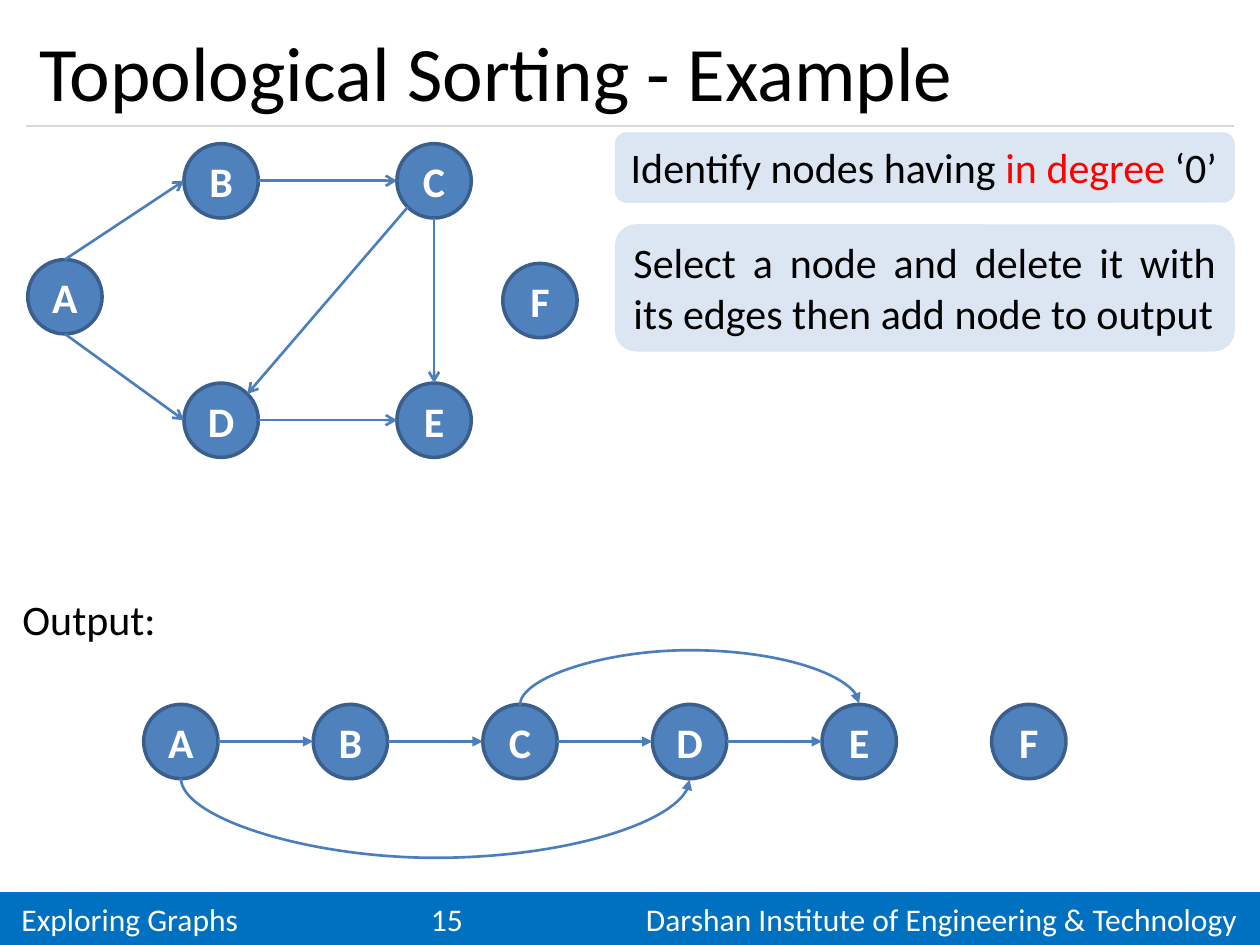
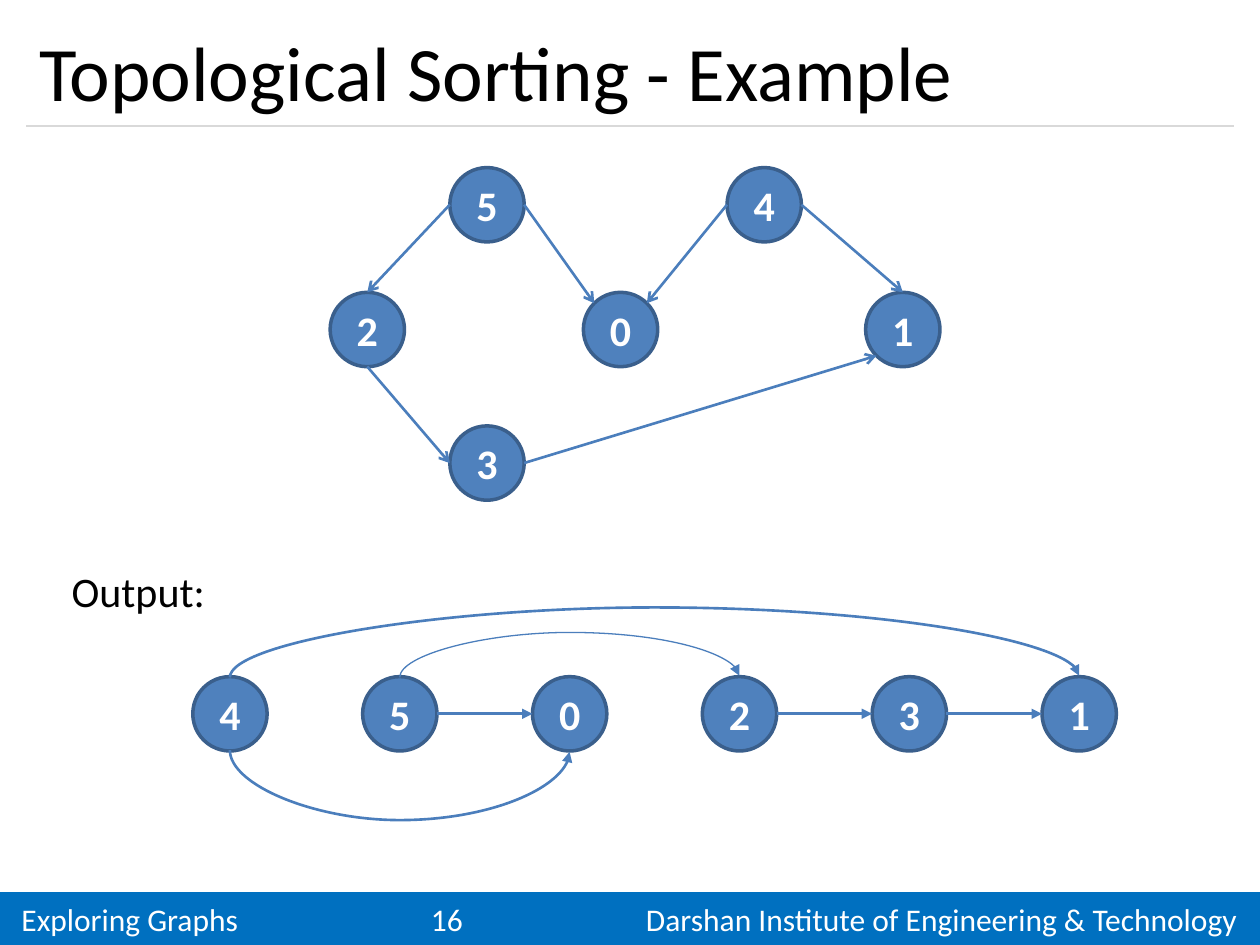
import math

from lxml import etree
from pptx import Presentation
from pptx import util as u
from pptx.dml.color import RGBColor
from pptx.enum import shapes, text
from pptx.oxml.ns import qn

# The page is a grid of 10 columns by 7.5 rows
COLUMN = ROW = u.Inches(1)
COLUMNS, ROWS = 10, 7.5
MARGIN = 0.21
NODE = 0.59

FONT = "Calibri"
BLACK, WHITE, RED = "000000", "FFFFFF", "FF0000"
BAND, RULE, CALLOUT = "0070C0", "D9D9D9", "DCE6F2"
NODE_FILL, NODE_LINE, EDGE = "4F81BD", "3A5F8C", "4B7EBC"

BODY = {"name": FONT, "size": u.Pt(24), "bold": False}
NODE_FONT = {**BODY, "bold": True}
TITLE_FONT = {**BODY, "size": u.Pt(44)}
FOOTER_FONT = {**BODY, "size": u.Pt(18)}

# Connection sites of an ellipse run counter-clockwise from the top
TOP, TOP_LEFT, LEFT, LOWER_LEFT, BOTTOM, LOWER_RIGHT, RIGHT, TOP_RIGHT = range(8)


def color(value):
    return RGBColor.from_string(value)


def cells(*lengths):
    return [round(length * COLUMN) for length in lengths]


def add_span(para, words, style, ink):
    span = para.add_run()
    span.text = words
    for key, value in style.items():
        setattr(span.font, key, value)
    span.font.color.rgb = color(ink)


def set_frame(frame, **settings):
    for key, value in settings.items():
        setattr(frame, key, value)


def add_box(page, kind, place, fill, line=None):
    box = page.shapes.add_shape(kind, *cells(*place))
    box.shadow.inherit = False
    box.fill.solid()
    box.fill.fore_color.rgb = color(fill)
    if line:
        box.line.color.rgb = color(line)
        box.line.width = u.Pt(2)
    else:
        box.line.fill.background()
    return box


def add_line(page, kind, ends, ink, width, head=None):
    line = page.shapes.add_connector(kind, *ends)
    line.line.color.rgb = color(ink)
    line.line.width = u.Pt(width)
    properties = line._element.spPr
    if head:
        etree.SubElement(properties.find(qn("a:ln")), qn("a:tailEnd"), type=head)
    etree.SubElement(properties, qn("a:effectLst"))
    return line


def add_footer(page, number):
    band = add_box(page, shapes.MSO_SHAPE.RECTANGLE,
                   (0, 7.08, COLUMNS, ROWS - 7.08), BAND)
    set_frame(band.text_frame, margin_left=u.Inches(0.17),
              vertical_anchor=text.MSO_ANCHOR.MIDDLE)
    para = band.text_frame.paragraphs[0]
    para.alignment = text.PP_ALIGN.LEFT
    tabs = etree.SubElement(para._p.get_or_add_pPr(), qn("a:tabLst"))
    for position, align in ((3.25, "l"), (9.65, "r")):
        etree.SubElement(tabs, qn("a:tab"), pos=str(u.Inches(position)), algn=align)
    entries = ("Exploring Graphs", str(number),
               "Darshan Institute of Engineering & Technology")
    add_span(para, "\t".join(entries), FOOTER_FONT, WHITE)


def add_page(deck, title, number):
    page = deck.slides.add_slide(deck.slide_layouts[5])
    holder = page.shapes.title
    holder.left, holder.top, holder.width, holder.height = cells(
        MARGIN, 0.12, COLUMNS - 2 * MARGIN, 0.88)
    set_frame(holder.text_frame, word_wrap=True, auto_size=text.MSO_AUTO_SIZE.NONE,
              vertical_anchor=text.MSO_ANCHOR.MIDDLE)
    para = holder.text_frame.paragraphs[0]
    para.alignment = text.PP_ALIGN.LEFT
    add_span(para, title, TITLE_FONT, BLACK)
    add_footer(page, number)
    add_line(page, shapes.MSO_CONNECTOR.STRAIGHT,
             cells(MARGIN, 1, COLUMNS - MARGIN, 1), RULE, 0.75)
    return page


def add_node(page, name, left, top):
    node = add_box(page, shapes.MSO_SHAPE.OVAL, (left, top, NODE, NODE),
                   NODE_FILL, NODE_LINE)
    set_frame(node.text_frame, word_wrap=False, margin_left=0, margin_right=0,
              vertical_anchor=text.MSO_ANCHOR.MIDDLE)
    para = node.text_frame.paragraphs[0]
    para.alignment = text.PP_ALIGN.CENTER
    add_span(para, name, NODE_FONT, WHITE)
    return node


def site_point(node, site):
    angle, radius = site * math.pi / 4, node.width / 2
    return (round(node.left + radius - radius * math.sin(angle)),
            round(node.top + radius - radius * math.cos(angle)))


def glue(line, *joints):
    holder = line._element.find(qn("p:nvCxnSpPr")).find(qn("p:cNvCxnSpPr"))
    for tag, (node, site) in zip(("a:stCxn", "a:endCxn"), joints):
        etree.SubElement(holder, qn(tag), id=str(node.shape_id), idx=str(site))


def add_edge(page, start, start_site, end, end_site, head):
    ends = site_point(start, start_site) + site_point(end, end_site)
    line = add_line(page, shapes.MSO_CONNECTOR.STRAIGHT, ends, EDGE, 1.5, head)
    glue(line, (start, start_site), (end, end_site))


def add_arc(page, start, end, site, depth, width=1.5):
    """Curve over (TOP) or under (BOTTOM) the row: a turned, very thin connector."""
    (x1, y), (x2, _) = site_point(start, site), site_point(end, site)
    thin, span = u.Pt(1), x2 - x1
    left, top = (x1 + x2 - thin) // 2, y - span // 2
    arc = add_line(page, shapes.MSO_CONNECTOR.CURVE,
                   (left, top, left + thin, top + span), EDGE, width, "triangle")
    frame = arc._element.spPr.find(qn("a:xfrm"))
    frame.set("rot", str((90 if site == TOP else 270) * 60000))
    frame.set("flipH", "1")
    if site == TOP:
        frame.set("flipV", "1")
    bend = round(100000 * u.Inches(depth) / thin)
    guides = arc._element.spPr.find(qn("a:prstGeom")).find(qn("a:avLst"))
    etree.SubElement(guides, qn("a:gd"), name="adj1", fmla=f"val {bend}")
    glue(arc, (start, site), (end, site))


def add_graph(page, places, edges):
    nodes = {name: add_node(page, name, *place) for name, place in places.items()}
    for start, start_site, end, end_site in edges:
        add_edge(page, nodes[start], start_site, nodes[end], end_site, "arrow")


def add_output(page, label_place, order, first, last, top, links, arcs):
    label = page.shapes.add_textbox(*cells(*label_place, 1.35, 0.5))
    label.text_frame.word_wrap = True
    add_span(label.text_frame.paragraphs[0], "Output:", BODY, BLACK)
    step = (last - first) / (len(order) - 1)
    nodes = {name: add_node(page, name, first + i * step, top)
             for i, name in enumerate(order)}
    for start, end in links:
        add_edge(page, nodes[start], RIGHT, nodes[end], LEFT, "triangle")
    for start, end, *shape in arcs:
        add_arc(page, nodes[start], nodes[end], *shape)


def add_callout(page, top, height, spans):
    box = add_box(page, shapes.MSO_SHAPE.ROUNDED_RECTANGLE,
                  (4.88, top, 4.92, height), CALLOUT)
    set_frame(box.text_frame, word_wrap=True, vertical_anchor=text.MSO_ANCHOR.TOP)
    para = box.text_frame.paragraphs[0]
    para.alignment = text.PP_ALIGN.JUSTIFY
    for words, ink in spans:
        add_span(para, words, BODY, ink)


def main():
    deck = Presentation()
    deck.slide_width, deck.slide_height = cells(COLUMNS, ROWS)
    title = "Topological Sorting - Example"

    # Lettered graph with the two steps of the method
    page = add_page(deck, title, 15)
    add_graph(page, {
        "A": (0.22, 2.06), "B": (1.46, 1.14), "D": (1.46, 3.04),
        "C": (3.15, 1.14), "E": (3.15, 3.04), "F": (3.99, 2.09),
    }, [
        ("A", TOP, "B", LEFT), ("A", BOTTOM, "D", LEFT),
        ("B", RIGHT, "C", LEFT), ("D", RIGHT, "E", LEFT),
        ("C", BOTTOM, "E", TOP), ("C", LOWER_LEFT, "D", TOP_RIGHT),
    ])
    add_callout(page, 1.05, 0.56, [("Identify nodes having ", BLACK),
                                   ("in degree ", RED), ("‘0’", BLACK)])
    add_callout(page, 1.78, 1.01, [
        ("Select a node and delete it with its edges then add node to output", BLACK)])
    add_output(page, (0.08, 4.66), "ABCDEF", 1.14, 7.87, 5.59,
               ("AB", "BC", "CD", "DE"),
               [("A", "D", BOTTOM, 0.64), ("C", "E", TOP, 0.44)])

    # Numbered graph
    page = add_page(deck, title, 16)
    add_graph(page, {
        "2": (2.62, 2.32), "5": (3.57, 1.33), "3": (3.57, 3.38),
        "0": (4.63, 2.32), "4": (5.77, 1.33), "1": (6.87, 2.32),
    }, [
        ("5", LEFT, "2", TOP), ("5", RIGHT, "0", TOP_LEFT),
        ("2", BOTTOM, "3", LEFT), ("3", RIGHT, "1", LOWER_LEFT),
        ("4", LEFT, "0", TOP_RIGHT), ("4", RIGHT, "1", TOP),
    ])
    add_output(page, (0.47, 4.44), "450231", 1.53, 8.27, 5.37,
               ("50", "23", "31"),
               [("4", "1", TOP, 0.56), ("4", "0", BOTTOM, 0.56),
                ("5", "2", TOP, 0.36, 0.75)])

    deck.save("out.pptx")


if __name__ == "__main__":
    main()
